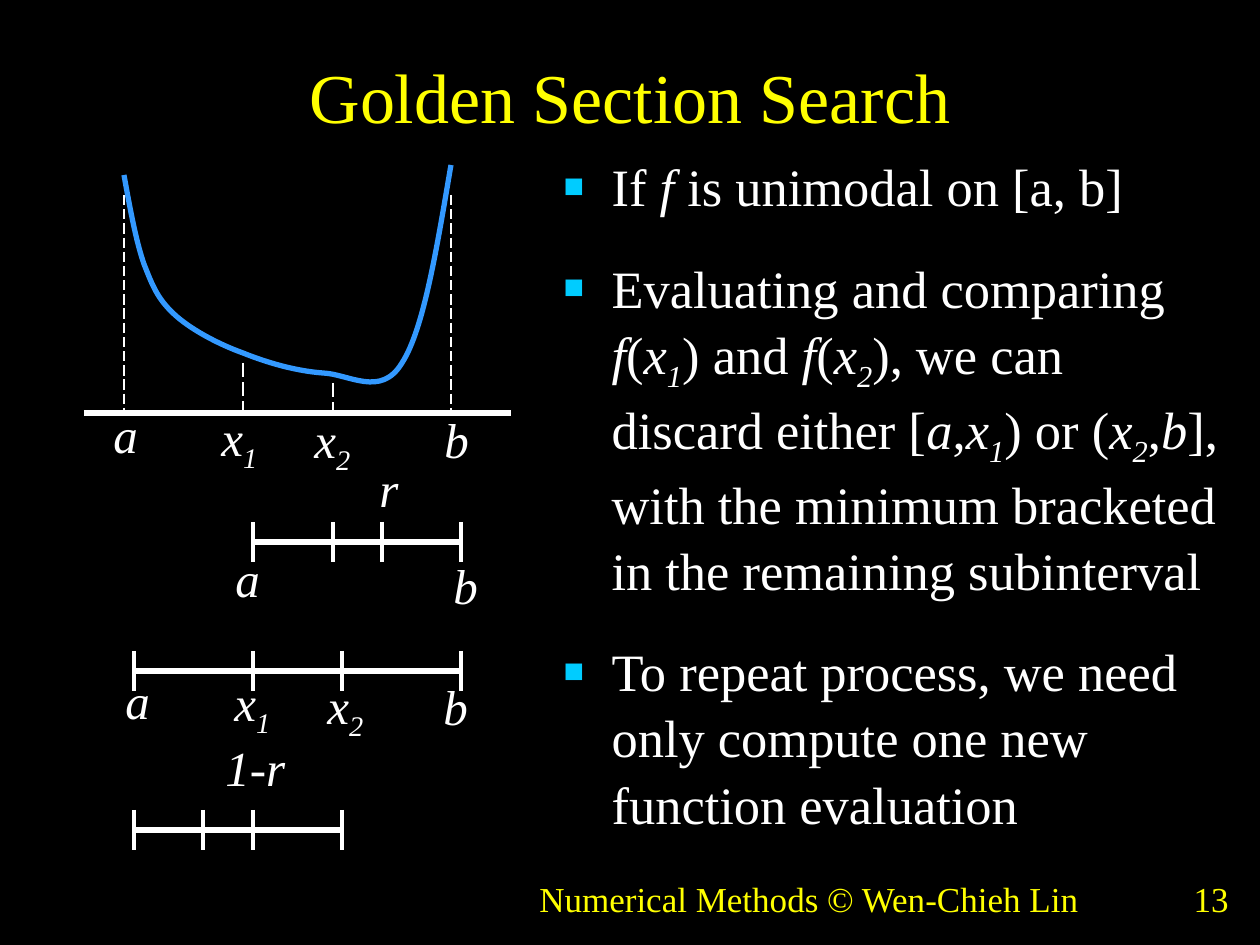
from lxml import etree
from pptx import Presentation, util as u
from pptx.dml.color import RGBColor
from pptx.enum import dml, text
from pptx.oxml import ns

PX = 914400 / 126
FONT = "Times New Roman"
COLORS = {"back": "000000", "text": "FFFFFF", "title": "FFFF00",
          "bullet": "00CCFF", "curve": "3399FF"}
LABEL_WIDTHS = {"a": 50, "b": 50, "x1": 64, "x2": 64, "r": 44, "1-r": 86}


def emu(pixels):
    return u.Emu(round(pixels * PX))


def color(name):
    return RGBColor.from_string(COLORS[name])


def style_font(font, size, name):
    font.name = FONT
    font.size = u.Pt(size)
    font.color.rgb = color(name)


def place(shape, box):
    shape.left, shape.top, shape.width, shape.height = map(emu, box)


def add_line(shapes, start, end, weight, dash=None):
    line = shapes.add_connector(1, *map(emu, (*start, *end)))
    line.line.color.rgb = color("text")
    line.line.width = u.Pt(weight)
    if dash:
        line.line.dash_style = dash
    etree.SubElement(line._element.spPr, ns.qn("a:effectLst"))


def add_math(paragraph, pieces):
    for words, kind in pieces:
        run = paragraph.add_run()
        run.text = words
        if kind:
            run.font.italic = True
        if kind == "sub":
            run.font._element.set("baseline", "-25000")


def add_label(shapes, words, left, top):
    label = shapes.add_textbox(*map(emu, (left, top, LABEL_WIDTHS[words], 72)))
    frame = label.text_frame
    frame.word_wrap = False
    frame.auto_size = text.MSO_AUTO_SIZE.SHAPE_TO_FIT_TEXT
    paragraph = frame.paragraphs[0]
    style_font(paragraph.font, 28, "text")
    paragraph.font.italic = True
    if words.startswith("x"):
        add_math(paragraph, [("x", "var"), (words[1:], "sub")])
    else:
        add_math(paragraph, [(words, "var")])


def add_curve(shapes, left, top, points):
    points = [(left + x, top + y) for x, y in points]
    builder = shapes.build_freeform(*points[0], scale=PX)
    builder.add_line_segments(points[1:], close=False)
    curve = builder.convert_to_shape()
    curve.shadow.inherit = False
    curve.fill.background()
    curve.line.color.rgb = color("curve")
    curve.line.width = u.Pt(3)
    outline = curve._element.find(".//" + ns.qn("a:path"))
    segments = outline.findall(ns.qn("a:lnTo"))
    for first in range(0, len(segments), 3):
        bend = etree.SubElement(outline, ns.qn("a:cubicBezTo"))
        for segment in segments[first:first + 3]:
            bend.append(segment[0])
            outline.remove(segment)


def add_function_plot(shapes, box):
    left, top, width, height = box
    add_curve(shapes, left, top, [
        (40, 10), (46, 43), (52, 76), (60, 99), (69, 122), (74, 134), (90, 149),
        (106, 164), (134, 179), (159, 188), (184, 198), (212, 206), (239, 208),
        (265, 209), (297, 233), (318, 198), (340, 164), (353, 82), (367, 0)])
    axis = top + height
    add_line(shapes, (left, axis), (left + width, axis), 3)
    for x, rise, weight in [(40, 218, .75), (367, 218, .75), (159, 50, 1), (249, 30, 1)]:
        add_line(shapes, (left + x, axis - rise), (left + x, axis),
                 weight, dml.MSO_LINE.LONG_DASH)
    for words, x, drop in [("a", 17, -15), ("x1", 125, -12),
                           ("b", 348, -10), ("x2", 218, -10)]:
        add_label(shapes, words, left + x, axis + drop)


def add_interval(shapes, box, inner_ticks, labels):
    left, top, width, height = box
    middle = top + height / 2
    add_line(shapes, (left, middle), (left + width, middle), 3)
    for tick in (0, *inner_ticks, width):
        add_line(shapes, (left + tick, top), (left + tick, top + height), 2.25)
    for words, x, y in labels:
        add_label(shapes, words, left + x, top + y)


def add_title(slide, box):
    title = slide.shapes.title
    place(title, box)
    frame = title.text_frame
    frame.auto_size = text.MSO_AUTO_SIZE.NONE
    frame.vertical_anchor = text.MSO_ANCHOR.MIDDLE
    frame.text = "Golden Section Search"
    frame.paragraphs[0].alignment = text.PP_ALIGN.CENTER
    style_font(frame.paragraphs[0].font, 40, "title")


def add_bullet(paragraph):
    properties = paragraph._p.get_or_add_pPr()
    properties.set("marL", str(emu(48)))
    properties.set("indent", str(-emu(48)))
    tint = etree.SubElement(properties, ns.qn("a:buClr"))
    etree.SubElement(tint, ns.qn("a:srgbClr"), val=COLORS["bullet"])
    etree.SubElement(properties, ns.qn("a:buSzPct"), val="65000")
    etree.SubElement(properties, ns.qn("a:buFont"), typeface=FONT)
    etree.SubElement(properties, ns.qn("a:buChar"), char="■")


def add_points(slide, box):
    body = slide.placeholders[1]
    place(body, box)
    frame = body.text_frame
    frame.auto_size = text.MSO_AUTO_SIZE.NONE
    frame.vertical_anchor = text.MSO_ANCHOR.TOP
    f, x = ("f", "var"), ("x", "var")
    one, two = ("1", "sub"), ("2", "sub")
    points = [
        [("If ", None), f, (" is unimodal on [a, b]", None)],
        [("Evaluating and comparing ", None), f, ("(", None), x, one,
         (") and ", None), f, ("(", None), x, two,
         ("), we can discard either [", None), ("a", "var"), (",", None), x, one,
         (") or (", None), x, two, (",", None), ("b", "var"),
         ("], with the minimum bracketed in the remaining subinterval", None)],
        [("To repeat process, we need only compute one new function evaluation", None)],
    ]
    for number, pieces in enumerate(points):
        paragraph = frame.add_paragraph() if number else frame.paragraphs[0]
        paragraph.alignment = text.PP_ALIGN.LEFT
        paragraph.line_spacing = 1.05
        paragraph.space_before = u.Pt(20 if number else 0)
        add_bullet(paragraph)
        style_font(paragraph.font, 30, "text")
        add_math(paragraph, pieces)


def add_footer(slide, box, words, alignment):
    footer = slide.shapes.add_textbox(*map(emu, box))
    frame = footer.text_frame
    frame.word_wrap = True
    frame.vertical_anchor = text.MSO_ANCHOR.BOTTOM
    frame.text = words
    frame.paragraphs[0].alignment = alignment
    style_font(frame.paragraphs[0].font, 20, "title")


def build_slide(deck):
    slide = deck.slides.add_slide(deck.slide_layouts[1])
    slide.background.fill.solid()
    slide.background.fill.fore_color.rgb = color("back")
    add_title(slide, (63, 16, 1134, 159))
    add_points(slide, (551, 145, 684, 725))
    add_footer(slide, (412, 861, 794, 65), "Numerical Methods © Wen-Chieh Lin",
               text.PP_ALIGN.CENTER)
    add_footer(slide, (948, 861, 293, 65), "13", text.PP_ALIGN.RIGHT)
    add_function_plot(slide.shapes.add_group_shape().shapes, (84, 165, 427, 248))
    add_interval(slide.shapes, (253, 522, 208, 40), (80, 129),
                 [("a", -30, 20), ("b", 188, 27), ("r", 114, -70)])
    add_interval(slide.shapes.add_group_shape().shapes, (134, 651, 327, 40), (119, 208),
                 [("a", -21, 13), ("x1", 88, 15), ("b", 297, 19), ("x2", 181, 18)])
    add_interval(slide.shapes, (134, 810, 208, 40), (69, 119), [("1-r", 79, -79)])


deck = Presentation()
deck.slide_width, deck.slide_height = emu(1260), emu(945)
build_slide(deck)
deck.save("out.pptx")
